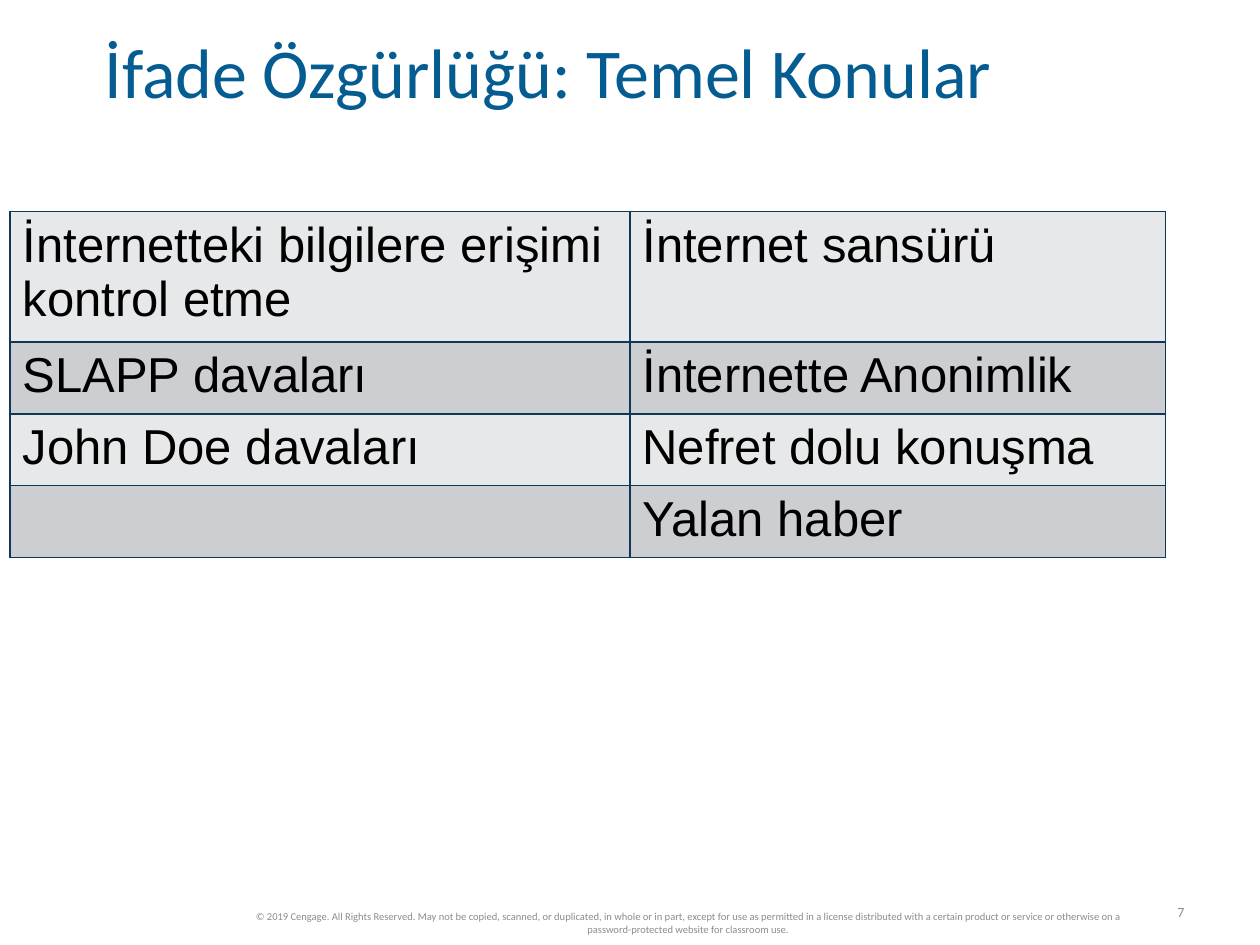
from dataclasses import dataclass

from lxml.etree import SubElement
from pptx import Presentation
from pptx.dml.color import RGBColor
from pptx.enum.text import MSO_ANCHOR, PP_ALIGN
from pptx.oxml.ns import qn
from pptx.util import Inches, Pt


@dataclass(frozen=True)
class Theme:
    """Colours, fonts and type sizes of the slide."""
    heading_font: str = "Calibri"
    table_font: str = "Arial"
    title_color: str = "055C91"
    footer_color: str = "8C8C8C"
    table_color: str = "000000"
    border_color: str = "0D3857"
    bands: tuple = ("E7E8EA", "CCCED1")
    title_size: int = 40
    table_size: int = 28
    number_size: int = 8
    footer_size: int = 6
    border_width: int = 1


THEME = Theme()
TOPICS = [
    ("İnternetteki bilgilere erişimi kontrol etme", "İnternet sansürü"),
    ("SLAPP davaları", "İnternette Anonimlik"),
    ("John Doe davaları", "Nefret dolu konuşma"),
    ("", "Yalan haber"),
]
COPYRIGHT = (
    "© 2019 Cengage. All Rights Reserved. May not be copied, scanned, or "
    "duplicated, in whole or in part, except for use as permitted in a license "
    "distributed with a certain product or service or otherwise on a "
    "password-protected website for classroom use."
)


def apply_format(target, values):
    """Set each named attribute on the target."""
    for name, value in values.items():
        setattr(target, name, value)


def style_font(font, name, size, color):
    """Set typeface, size and colour of a font."""
    apply_format(font, {"name": name, "size": Pt(size)})
    font.color.rgb = RGBColor.from_string(color)


def add_text(slide, box, text, size, color, paragraph_format, frame_format):
    """Add a vertically centred text box with one paragraph."""
    shape = slide.shapes.add_textbox(*map(Inches, box))
    frame = shape.text_frame
    apply_format(frame, {"word_wrap": True, "vertical_anchor": MSO_ANCHOR.MIDDLE})
    apply_format(frame, frame_format)
    paragraph = frame.paragraphs[0]
    paragraph.text = text
    apply_format(paragraph, paragraph_format)
    style_font(paragraph.font, THEME.heading_font, size, color)


def add_borders(cell):
    """Draw a solid line on all four sides of a cell."""
    properties = cell._tc.get_or_add_tcPr()
    for side in ("a:lnL", "a:lnR", "a:lnT", "a:lnB"):
        line = SubElement(properties, qn(side), w=str(Pt(THEME.border_width)))
        fill = SubElement(line, qn("a:solidFill"))
        SubElement(fill, qn("a:srgbClr"), val=THEME.border_color)


def add_topic_table(slide, left, top, widths, heights, rows):
    """Add the banded table of topics."""
    box = map(Inches, (left, top, sum(widths), sum(heights)))
    table = slide.shapes.add_table(len(rows), len(widths), *box).table
    for column, width in zip(table.columns, widths):
        column.width = Inches(width)
    for index, (row, height, texts) in enumerate(zip(table.rows, heights, rows)):
        row.height = Inches(height)
        for cell, text in zip(row.cells, texts):
            add_borders(cell)
            cell.fill.solid()
            band = THEME.bands[index % len(THEME.bands)]
            cell.fill.fore_color.rgb = RGBColor.from_string(band)
            cell.text = text
            font = cell.text_frame.paragraphs[0].font
            style_font(font, THEME.table_font, THEME.table_size, THEME.table_color)
            font.bold = False


def main():
    """Build and save the slide."""
    presentation = Presentation()
    apply_format(presentation, {"slide_width": Inches(10), "slide_height": Inches(7.5)})
    slide = presentation.slides.add_slide(presentation.slide_layouts[6])
    add_text(slide, (9.16, 7.12, 0.34, 0.24), "7", THEME.number_size,
             THEME.footer_color, {"alignment": PP_ALIGN.RIGHT}, {"word_wrap": False})
    add_topic_table(slide, 0.08, 1.68, (4.92, 4.25), (1.03, 0.57, 0.57, 0.57), TOPICS)
    margins = ("margin_left", "margin_top", "margin_right", "margin_bottom")
    add_text(slide, (0.83, 0.32, 8.78, 0.58), "İfade Özgürlüğü: Temel Konular",
             THEME.title_size, THEME.title_color, {"line_spacing": 0.85},
             dict.fromkeys(margins, 0))
    add_text(slide, (1.75, 7.19, 7.42, 0.27), COPYRIGHT, THEME.footer_size,
             THEME.footer_color, {"alignment": PP_ALIGN.CENTER}, {})
    presentation.save("out.pptx")


if __name__ == "__main__":
    main()
